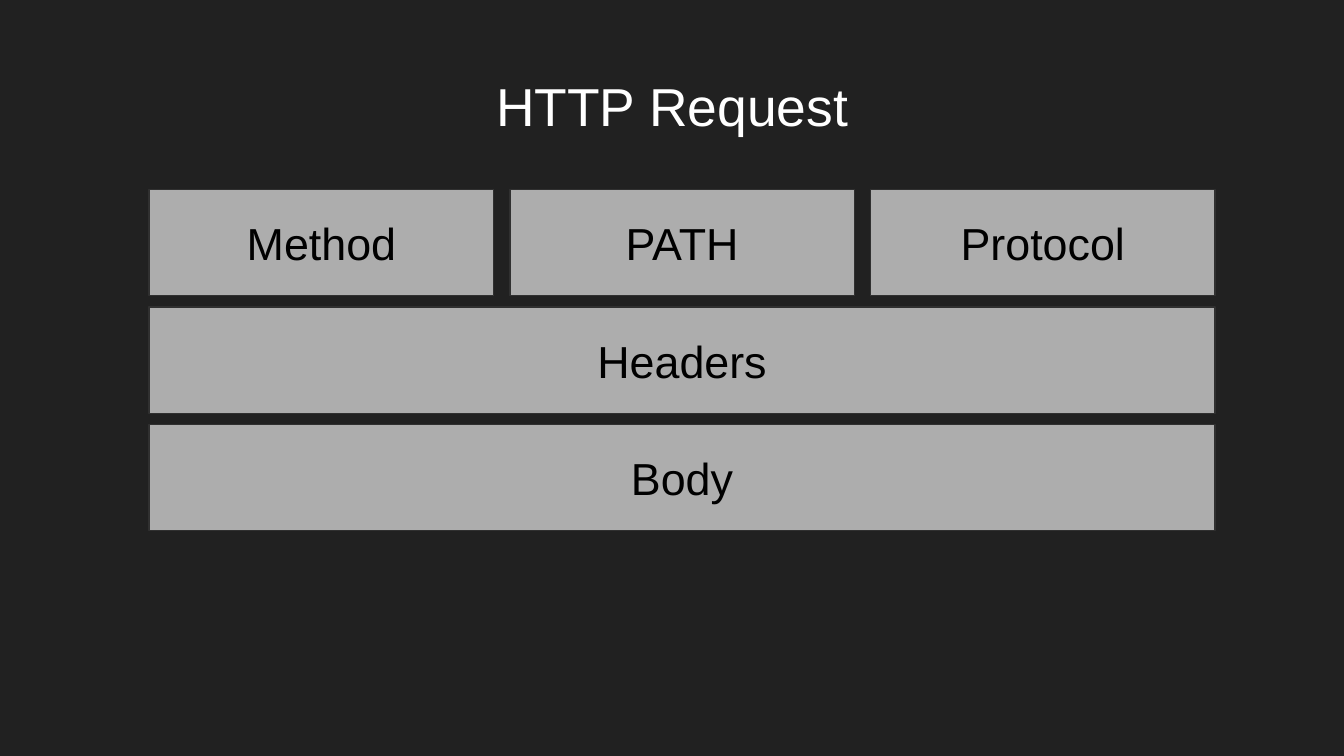
from pptx import Presentation
from pptx.dml.color import RGBColor
from pptx.enum.shapes import MSO_SHAPE as Shape
from pptx.enum.text import MSO_ANCHOR as Anchor, PP_ALIGN as Align
from pptx.util import Inches, Pt

COLORS = {
    "background": "212121",
    "block": "ADADAD",
    "outline": "303030",
    "label": "000000",
    "title": "FFFFFF",
}
FONT = "Arial"

# Each row shares the full width equally among its blocks
ROWS = [["Method", "PATH", "Protocol"], ["Headers"], ["Body"]]
LEFT, WIDTH, COLUMN_GAP = 1.11, 7.93, 0.12
FIRST_TOP, LAST_TOP, BLOCK_HEIGHT = 1.41, 3.16, 0.79
ROW_STEP = (LAST_TOP - FIRST_TOP) / (len(ROWS) - 1)


def color(name):
    return RGBColor.from_string(COLORS[name])


def set_text(shape, text, size, color_name, anchor):
    text_frame = shape.text_frame
    text_frame.word_wrap = True
    text_frame.vertical_anchor = anchor
    text_frame.margin_left = text_frame.margin_right = Inches(0.1)
    text_frame.margin_top = text_frame.margin_bottom = Inches(0.1)
    text_frame.text = text
    paragraph = text_frame.paragraphs[0]
    paragraph.alignment = Align.CENTER
    font = paragraph.runs[0].font
    font.name = FONT
    font.size = Pt(size)
    font.color.rgb = color(color_name)
    return paragraph


def add_title(slide, text):
    box = slide.shapes.add_textbox(
        Inches(0.34), Inches(0.49), Inches(9.32), Inches(0.63))
    paragraph = set_text(box, text, 28.6, "title", Anchor.BOTTOM)
    paragraph.line_spacing = 0.8


def add_block(slide, text, left, top, width):
    block = slide.shapes.add_shape(
        Shape.RECTANGLE, Inches(left), Inches(top),
        Inches(width), Inches(BLOCK_HEIGHT))
    block.shadow.inherit = False
    block.fill.solid()
    block.fill.fore_color.rgb = color("block")
    block.line.color.rgb = color("outline")
    block.line.width = Pt(0.75)
    set_text(block, text, 24, "label", Anchor.MIDDLE)


def add_row(slide, labels, top):
    width = (WIDTH - COLUMN_GAP * (len(labels) - 1)) / len(labels)
    for column, label in enumerate(labels):
        add_block(slide, label, LEFT + column * (width + COLUMN_GAP), top, width)


def main():
    # Widescreen slide, 16:9
    presentation = Presentation()
    presentation.slide_width = Inches(10)
    presentation.slide_height = Inches(10 * 9 / 16)
    slide = presentation.slides.add_slide(presentation.slide_layouts[6])

    # Background
    fill = slide.background.fill
    fill.solid()
    fill.fore_color.rgb = color("background")

    # Title and the parts of the request
    add_title(slide, "HTTP Request")
    for index, labels in enumerate(ROWS):
        add_row(slide, labels, FIRST_TOP + index * ROW_STEP)

    presentation.save("out.pptx")


if __name__ == "__main__":
    main()
